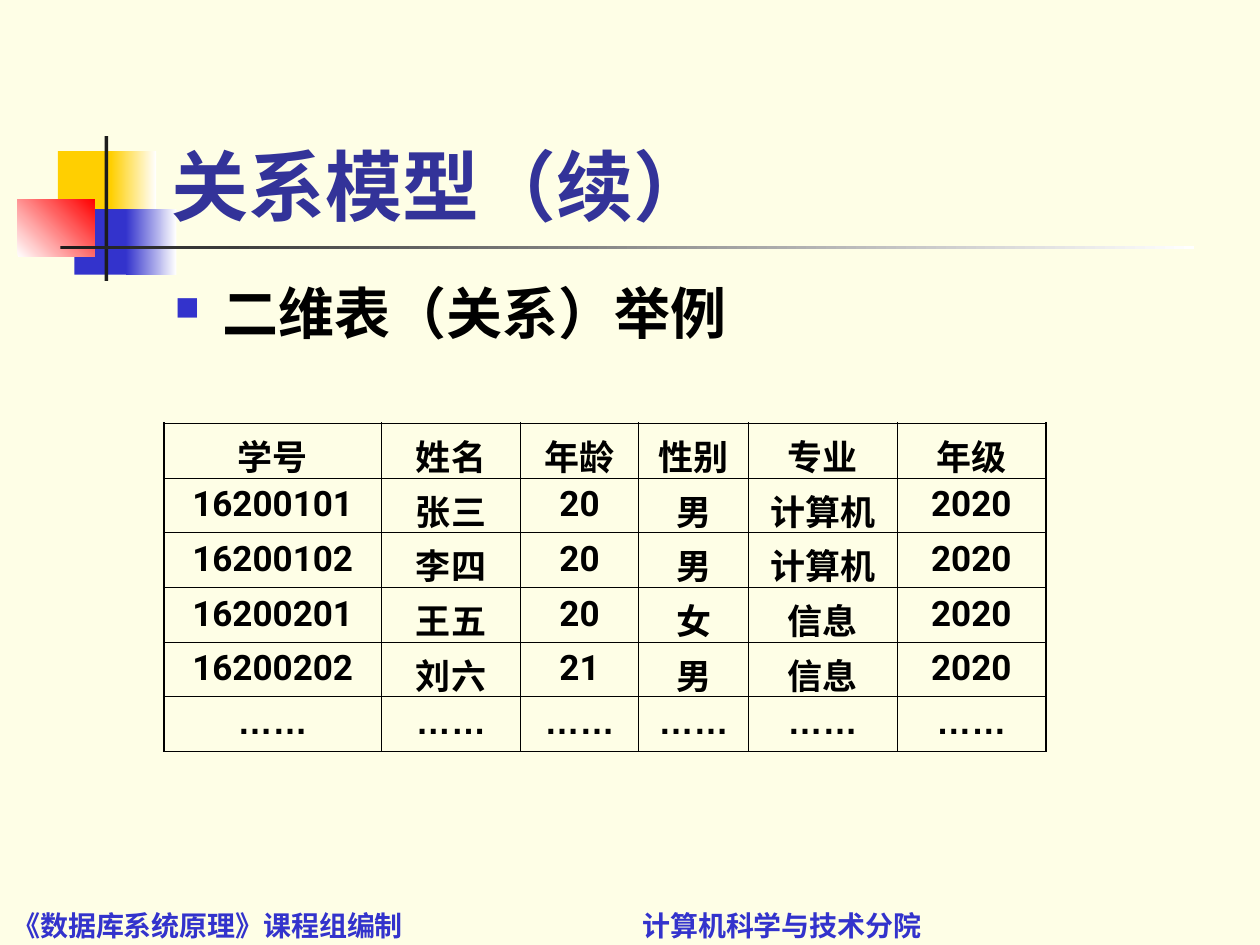
from lxml.etree import SubElement
from pptx import Presentation
from pptx.dml.color import RGBColor
from pptx.enum.shapes import MSO_SHAPE
from pptx.enum.text import MSO_ANCHOR, PP_ALIGN
from pptx.oxml import parse_xml
from pptx.oxml.ns import nsdecls, qn
from pptx.util import Inches, Pt

INK = {
    "page": "FEFEE6", "gold": "FFCF01", "blue": "3333CC", "red": "FF0000",
    "dark": "1C1C1C", "white": "FFFFFF", "title": "333399", "black": "000000",
}
HAN = "Noto Sans CJK SC"
BARS = [
    ((0.46, 1.2, 0.48, 0.52), ["gold"], 0),
    ((0.88, 1.2, 0.36, 0.52), ["gold", "white"], 0),
    ((0.59, 1.66, 0.46, 0.52), ["blue"], 0),
    ((1, 1.66, 0.4, 0.52), ["blue", "white"], 0),
    ((0.14, 1.58, 0.61, 0.46), ["white", "red"], 45),
    ((0.83, 1.08, 0.03, 1.15), ["dark"], 0),
    ((0.48, 1.95, 9, 0.03), ["dark", "white"], 0),
]
TITLE = "关系模型（续）"
POINT = "二维表（关系）举例"
FOOTER = ["《数据库系统原理》课程组编制", "计算机科学与技术分院"]
ROWS = [
    ["学号", "姓名", "年龄", "性别", "专业", "年级"],
    ["16200101", "张三", "20", "男", "计算机", "2020"],
    ["16200102", "李四", "20", "男", "计算机", "2020"],
    ["16200201", "王五", "20", "女", "信息", "2020"],
    ["16200202", "刘六", "21", "男", "信息", "2020"],
    ["……"] * 6,
]
WIDTHS = [1.73, 1.1, 0.94, 0.87, 1.18, 1.18]
HIGH = 0.43
THIN, THICK = 0.45, 1.08


def color(name):
    return RGBColor.from_string(INK[name])


def write(para, text, size, ink, face="Roboto", han=HAN):
    run = para.add_run()
    run.text = text
    for key, value in {"size": Pt(size), "bold": True, "name": face}.items():
        setattr(run.font, key, value)
    run.font.color.rgb = color(ink)
    SubElement(run.font._element, qn("a:ea"), typeface=han)


def add_bar(slide, box, inks, angle):
    bar = slide.shapes.add_shape(MSO_SHAPE.RECTANGLE, *map(Inches, box))
    bar.shadow.inherit = False
    bar.line.fill.background()
    if len(inks) == 1:
        bar.fill.solid()
        bar.fill.fore_color.rgb = color(inks[0])
        return
    bar.fill.gradient()
    bar.fill.gradient_angle = angle
    for stop, ink in zip(bar.fill.gradient_stops, inks):
        stop.color.rgb = color(ink)


def add_box(slide, box, anchor, inset):
    frame = slide.shapes.add_textbox(*map(Inches, box)).text_frame
    look = {"word_wrap": True, "vertical_anchor": anchor,
            "margin_top": Inches(inset), "margin_bottom": Inches(inset)}
    for key, value in look.items():
        setattr(frame, key, value)
    return frame.paragraphs[0]


def add_edges(cell, row, col):
    outer = {"L": col == 0, "R": col == len(WIDTHS) - 1,
             "T": row == 0, "B": row == len(ROWS) - 1}
    props = cell._tc.get_or_add_tcPr()
    for spot, (side, edge) in enumerate(outer.items()):
        width = Pt(THICK if edge else THIN)
        props.insert(spot, parse_xml(
            f'<a:ln{side} {nsdecls("a")} w="{width}"><a:solidFill>'
            f'<a:srgbClr val="{INK["black"]}"/></a:solidFill></a:ln{side}>'))


def add_grid(slide):
    grid = slide.shapes.add_table(
        len(ROWS), len(WIDTHS), Inches(1.3), Inches(3.36),
        Inches(sum(WIDTHS)), Inches(HIGH * len(ROWS))).table
    grid.first_row = grid.horz_banding = False
    for col, width in enumerate(WIDTHS):
        grid.columns[col].width = Inches(width)
    for row, texts in enumerate(ROWS):
        grid.rows[row].height = Inches(HIGH)
        fonts = ("Arial", "Arial") if texts[0] == "……" else ("Roboto", HAN)
        for col, text in enumerate(texts):
            cell = grid.cell(row, col)
            cell.fill.background()
            add_edges(cell, row, col)
            para = cell.text_frame.paragraphs[0]
            para.alignment = PP_ALIGN.CENTER
            write(para, text, 20, "black", *fonts)


def main():
    deck = Presentation()
    deck.slide_width, deck.slide_height = Inches(10), Inches(7.5)
    slide = deck.slides.add_slide(deck.slide_layouts[6])
    slide.background.fill.solid()
    slide.background.fill.fore_color.rgb = color("page")
    for bar in BARS:
        add_bar(slide, *bar)

    para = add_box(slide, (0, 7.29, 10, 0.24), MSO_ANCHOR.BOTTOM, 0.05)
    tabs = SubElement(para._p.get_or_add_pPr(), qn("a:tabLst"))
    SubElement(tabs, qn("a:tab"), pos=str(Inches(5)), algn="l")
    write(para, "\t".join(FOOTER), 16, "blue", HAN)

    para = add_box(slide, (1.26, 0.23, 8.52, 1.6), MSO_ANCHOR.BOTTOM, 0)
    write(para, TITLE, 44, "title")

    para = add_box(slide, (1.29, 2.21, 8.5, 4.85), MSO_ANCHOR.TOP, 0)
    props = para._p.get_or_add_pPr()
    props.set("marL", str(Inches(0.38)))
    props.set("indent", str(-Inches(0.38)))
    tint = SubElement(props, qn("a:buClr"))
    SubElement(tint, qn("a:srgbClr"), val=INK["blue"])
    SubElement(props, qn("a:buSzPct"), val="60000")
    SubElement(props, qn("a:buChar"), char="■")
    write(para, POINT, 32, "black")

    add_grid(slide)
    deck.save("out.pptx")


if __name__ == "__main__":
    main()
